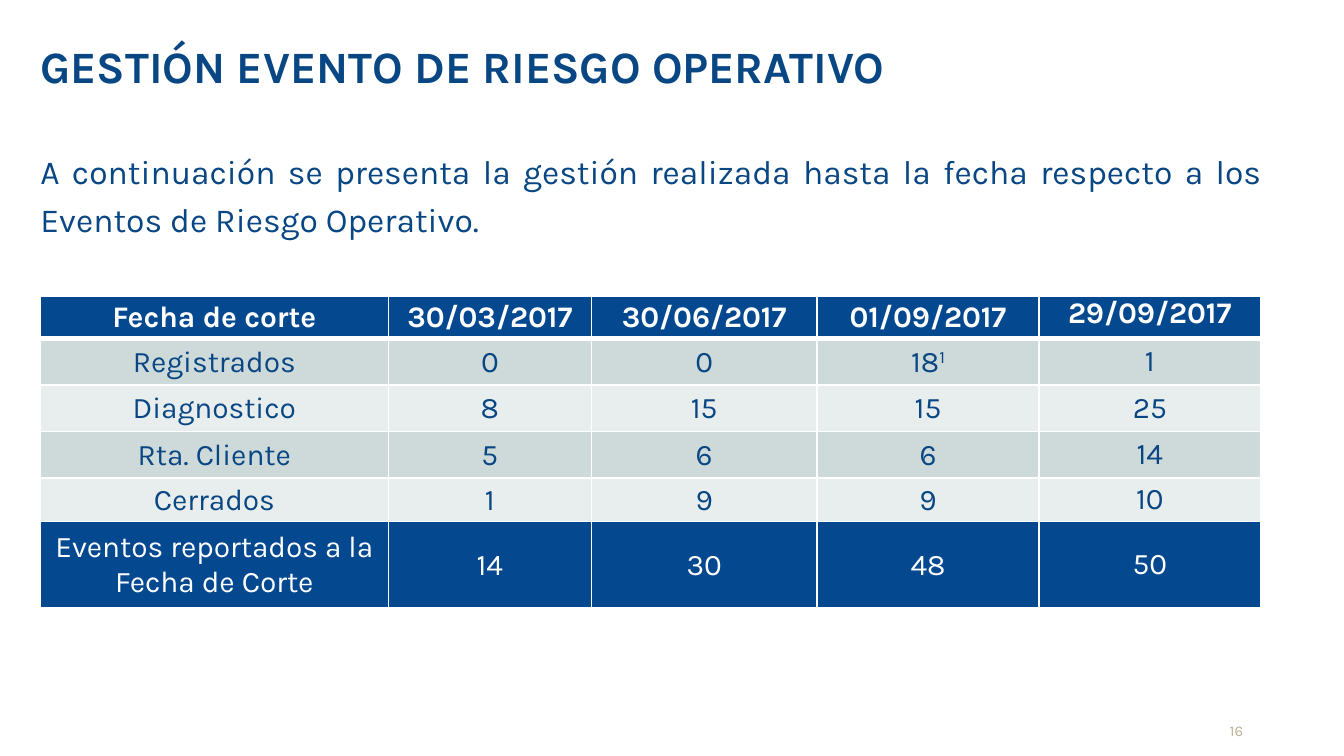
from dataclasses import dataclass

import lxml.etree
import pptx
import pptx.dml.color
import pptx.enum.text
import pptx.oxml.ns
import pptx.util

Pt = pptx.util.Pt
RGBColor = pptx.dml.color.RGBColor
Align = pptx.enum.text.PP_ALIGN
Anchor = pptx.enum.text.MSO_ANCHOR
qn = pptx.oxml.ns.qn

NAVY = RGBColor(0x09, 0x47, 0x84)
BLUE = RGBColor(0x04, 0x49, 0x90)
GREY = RGBColor(0xCE, 0xD9, 0xDA)
PALE = RGBColor(0xE8, 0xED, 0xED)
SAND = RGBColor(0xBC, 0xB2, 0x96)
WHITE = RGBColor(0xFF, 0xFF, 0xFF)

LEFT = 21.6
WIDTH = 654.5
COLUMN_WIDTHS = [186.5, 108.7, 121, 118.8, 118.8]
THIN, THICK = 1, 3
INSET = 0.72
MARGINS = ("margin_left", "margin_top", "margin_right", "margin_bottom")


@dataclass
class TextStyle:
    size: float
    color: RGBColor
    bold: bool = False
    align: Align = Align.LEFT
    anchor: Anchor = Anchor.TOP
    spacing: float = 1.0


@dataclass
class TableRow:
    height: float
    values: list[str]
    fill: RGBColor
    color: RGBColor = NAVY
    bold: bool = False


ROWS = [
    TableRow(22.8, ["Fecha de corte", "30/03/2017", "30/06/2017", "01/09/2017", "29/09/2017"],
             BLUE, WHITE, True),
    TableRow(24.9, ["Registrados", "0", "0", "18", "1"], GREY),
    TableRow(24.9, ["Diagnostico", "8", "15", "15", "25"], PALE),
    TableRow(24.9, ["Rta. Cliente", "5", "6", "6", "14"], GREY),
    TableRow(23.4, ["Cerrados", "1", "9", "9", "10"], PALE),
    TableRow(46, ["Eventos reportados a la Fecha de Corte", "14", "30", "48", "50"], BLUE, WHITE),
]
FOOTNOTE_CELL = (1, 3)


def set_all(target, values: dict) -> None:
    for name, value in values.items():
        setattr(target, name, value)


def add_span(para, text: str, style: TextStyle):
    span = para.add_run()
    span.text = text
    set_all(span.font, {"name": "Karla", "size": Pt(style.size), "bold": style.bold})
    span.font.color.rgb = style.color
    return span


def write_text(box, text: str, style: TextStyle) -> None:
    frame = box.text_frame
    set_all(frame, {"word_wrap": True, "vertical_anchor": style.anchor,
                    "auto_size": pptx.enum.text.MSO_AUTO_SIZE.NONE})
    set_all(frame, dict.fromkeys(MARGINS, 0))
    para = frame.paragraphs[0]
    set_all(para, {"alignment": style.align, "line_spacing": style.spacing})
    add_span(para, text, style)


def add_borders(cell, top: float, bottom: float) -> None:
    properties = cell._tc.get_or_add_tcPr()
    widths = {"a:lnL": THIN, "a:lnR": THIN, "a:lnT": top, "a:lnB": bottom}
    for tag, width in widths.items():
        line = lxml.etree.SubElement(properties, qn(tag), w=str(Pt(width)))
        fill = lxml.etree.SubElement(line, qn("a:solidFill"))
        lxml.etree.SubElement(fill, qn("a:srgbClr"), val=str(WHITE))


def fill_cell(cell, text: str, row: TableRow, inset: float, anchor: Anchor):
    set_all(cell, dict.fromkeys(MARGINS, Pt(inset)))
    set_all(cell, {"margin_bottom": 0, "vertical_anchor": anchor})
    cell.fill.solid()
    cell.fill.fore_color.rgb = row.fill
    para = cell.text_frame.paragraphs[0]
    para.alignment = Align.CENTER
    add_span(para, text, TextStyle(16, row.color, row.bold))
    return para


def add_event_table(page) -> None:
    height = sum(row.height for row in ROWS)
    table = page.shapes.add_table(len(ROWS), len(COLUMN_WIDTHS), Pt(LEFT), Pt(158.6),
                                  Pt(WIDTH), Pt(height)).table
    for column, width in zip(table.columns, COLUMN_WIDTHS):
        column.width = Pt(width)
    last = len(COLUMN_WIDTHS) - 1
    for i, row in enumerate(ROWS):
        table.rows[i].height = Pt(row.height)
        for j, text in enumerate(row.values):
            cell = table.cell(i, j)
            # Borders come before the fill in the cell properties
            add_borders(cell, THICK if i == 1 else THIN, THICK if i == 0 else THIN)
            anchor = Anchor.TOP if (i, j) == (0, last) else Anchor.MIDDLE
            para = fill_cell(cell, text, row, 0 if j == last else INSET, anchor)
            if (i, j) == FOOTNOTE_CELL:
                mark = add_span(para, "1", TextStyle(16, row.color))
                mark._r.get_or_add_rPr().set("baseline", "30000")


def main() -> None:
    deck = pptx.Presentation()
    set_all(deck, {"slide_width": Pt(720), "slide_height": Pt(405)})
    page = deck.slides.add_slide(deck.slide_layouts[5])

    # Title
    title = page.shapes.title
    set_all(title, {"left": Pt(LEFT), "top": Pt(25.2), "width": Pt(514), "height": Pt(35.3)})
    write_text(title, "GESTIÓN EVENTO DE RIESGO OPERATIVO",
               TextStyle(24, NAVY, bold=True, spacing=0.85))

    # Introduction
    intro = page.shapes.add_textbox(Pt(LEFT), Pt(76.3), Pt(WIDTH), Pt(52.6))
    write_text(intro, "A continuación se presenta la gestión realizada hasta la fecha "
               "respecto a los Eventos de Riesgo Operativo.",
               TextStyle(18, NAVY, align=Align.JUSTIFY, spacing=1.2))

    # Events by cut-off date
    add_event_table(page)

    # Page number
    number = page.shapes.add_textbox(Pt(643), Pt(386.6), Pt(23), Pt(9.4))
    write_text(number, "16", TextStyle(8, SAND, align=Align.RIGHT, anchor=Anchor.BOTTOM))

    deck.save("out.pptx")


if __name__ == "__main__":
    main()
